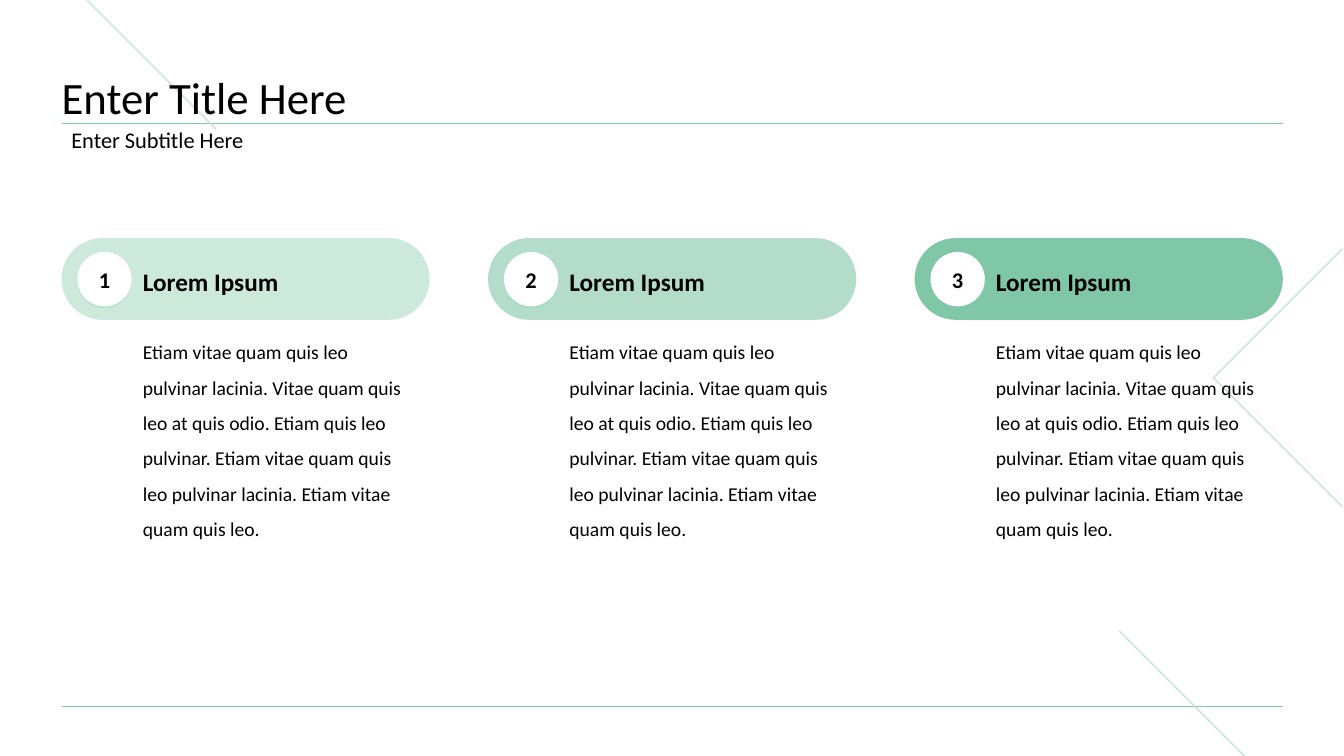
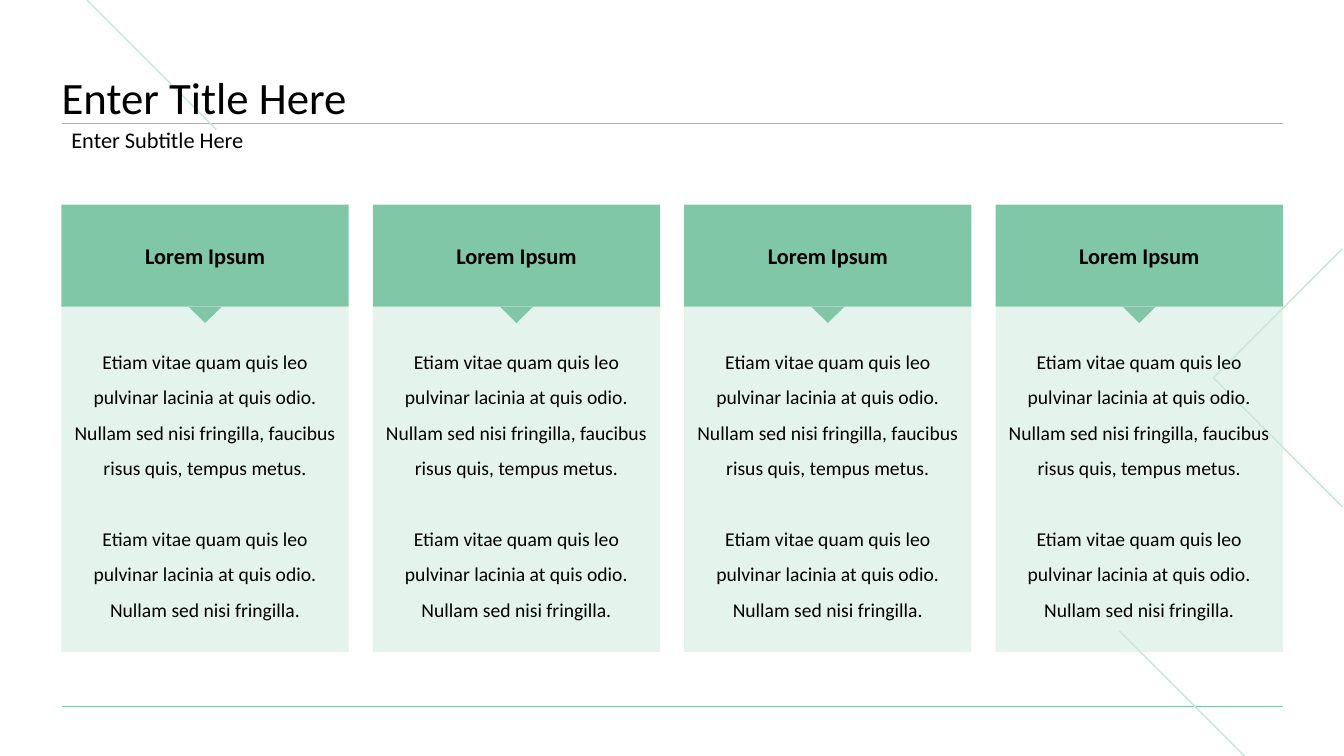
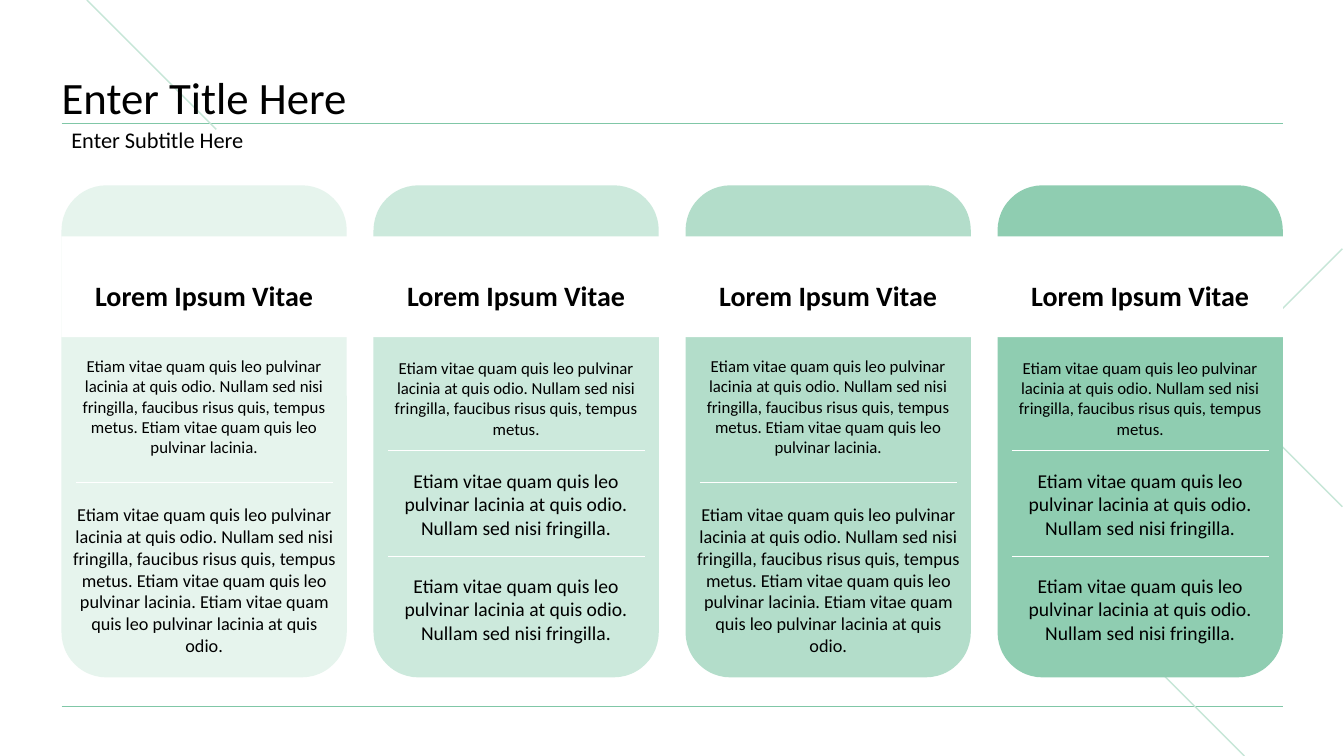
from lxml import etree
from pptx import Presentation
from pptx.dml.color import RGBColor
from pptx.enum.shapes import MSO_CONNECTOR, MSO_SHAPE
from pptx.enum.text import MSO_ANCHOR, MSO_AUTO_SIZE, PP_ALIGN
from pptx.oxml.ns import qn
from pptx.util import Cm, Pt

RECT = MSO_SHAPE.RECTANGLE
ROUNDED = MSO_SHAPE.ROUNDED_RECTANGLE
OVAL = MSO_SHAPE.OVAL
TRIANGLE = MSO_SHAPE.ISOSCELES_TRIANGLE
STRAIGHT = MSO_CONNECTOR.STRAIGHT
TOP, MIDDLE, BOTTOM = MSO_ANCHOR.TOP, MSO_ANCHOR.MIDDLE, MSO_ANCHOR.BOTTOM
LEFT, CENTER = PP_ALIGN.LEFT, PP_ALIGN.CENTER
FIXED = MSO_AUTO_SIZE.NONE

BLACK = RGBColor(0x00, 0x00, 0x00)
WHITE = RGBColor(0xFF, 0xFF, 0xFF)
GREEN = RGBColor(0x80, 0xC7, 0xA7)
FRESH = RGBColor(0x8F, 0xCD, 0xB1)
SAGE = RGBColor(0xB3, 0xDD, 0xCA)
MINT = RGBColor(0xCC, 0xE9, 0xDC)
MIST = RGBColor(0xE6, 0xF4, 0xED)
ACCENT = RGBColor(0xC6, 0xE6, 0xD7)

FONT = "Calibri"
MARGIN = 1.55
CONTENT_W = 30.78
RULE_Y = 3.12
FOOT_Y = 17.8


def write(shape, text, size=14, bold=False, align=LEFT, anchor=MIDDLE,
          spacing=1.0, gap=0, inset=(0.25, 0.13)):
    frame = shape.text_frame
    frame.word_wrap = True
    frame.auto_size = FIXED
    frame.vertical_anchor = anchor
    frame.margin_left = frame.margin_right = Cm(inset[0])
    frame.margin_top = frame.margin_bottom = Cm(inset[1])
    frame.text = text
    for index, paragraph in enumerate(frame.paragraphs):
        paragraph.alignment = align
        paragraph.line_spacing = spacing
        paragraph.space_before = Pt(gap if index else 0)
        font = paragraph.runs[0].font
        font.name, font.size, font.bold = FONT, Pt(size), bold
        font.color.rgb = BLACK


def columns(count, width):
    step = (CONTENT_W - width) / (count - 1)
    return [MARGIN + step * index for index in range(count)]


class Deck:
    def __init__(self):
        self.show = Presentation()
        self.show.slide_width, self.show.slide_height = Cm(33.87), Cm(19.05)
        self.layout = self.show.slide_layouts[5]
        self.canvas = None

    def slide(self, title, subtitle):
        first = len(self.show.slides) == 0
        slide = self.show.slides.add_slide(self.layout)
        self.canvas = slide.shapes
        if first:
            self.furnish_layout()
        heading = slide.shapes.title
        heading.left, heading.top = Cm(MARGIN), Cm(1.12)
        heading.width, heading.height = Cm(CONTENT_W), Cm(2.02)
        write(heading, title, size=32, anchor=BOTTOM, spacing=0.9, inset=(0, 0))
        self.text(MARGIN, RULE_Y, CONTENT_W, 0.86, subtitle, size=16, spacing=0.9)
        return slide

    def furnish_layout(self):
        for placeholder in list(self.layout.placeholders)[1:]:
            placeholder.element.getparent().remove(placeholder.element)
        right = MARGIN + CONTENT_W
        backdrop = [
            self.line(MARGIN, FOOT_Y, right, FOOT_Y, GREEN),
            self.line(MARGIN, RULE_Y, right, RULE_Y, GREEN),
            self.line(28.21, 15.9, 31.36, 19.05, ACCENT, 1),
            self.line(2.19, 0, 5.45, 3.26, ACCENT, 1),
            self.outline([(33.83, 6.27), (30.58, 9.52), (33.83, 12.77)], ACCENT),
        ]
        for part in backdrop:
            self.layout.shapes.element.append(part.element)

    def line(self, x1, y1, x2, y2, color, weight=0.5):
        line = self.canvas.add_connector(STRAIGHT, Cm(x1), Cm(y1), Cm(x2), Cm(y2))
        line.line.color.rgb = color
        line.line.width = Pt(weight)
        etree.SubElement(line.element.spPr, qn("a:effectLst"))
        return line

    def outline(self, points, color):
        corners = [(Cm(x), Cm(y)) for x, y in points]
        builder = self.canvas.build_freeform(*corners[0])
        builder.add_line_segments(corners[1:], close=False)
        outline = builder.convert_to_shape()
        outline.fill.background()
        outline.line.color.rgb = color
        outline.line.width = Pt(1)
        outline.shadow.inherit = False
        return outline

    def shape(self, kind, x, y, w, h, color, alpha=None, corner=None):
        shape = self.canvas.add_shape(kind, Cm(x), Cm(y), Cm(w), Cm(h))
        shape.fill.solid()
        shape.fill.fore_color.rgb = color
        shape.line.fill.background()
        shape.shadow.inherit = False
        if corner is not None:
            shape.adjustments[0] = corner
        if alpha is not None:
            tint = shape.element.spPr.find(qn("a:solidFill"))[0]
            etree.SubElement(tint, qn("a:alpha"), val=str(alpha * 1000))
        return shape

    def text(self, x, y, w, h, text, **style):
        box = self.canvas.add_textbox(Cm(x), Cm(y), Cm(w), Cm(h))
        write(box, text, **style)

    def badge(self, x, y, size, label):
        badge = self.shape(OVAL, x, y, size, size, WHITE)
        write(badge, label, size=16, bold=True, align=CENTER, inset=(0.25, 0.25))
        effects = badge.element.spPr.find(qn("a:effectLst"))
        shadow = etree.SubElement(effects, qn("a:outerShdw"), blurRad="0",
                                  dist=str(Pt(1.5)), dir="5400000",
                                  algn="t", rotWithShape="0")
        tint = etree.SubElement(shadow, qn("a:srgbClr"), val=str(GREEN))
        etree.SubElement(tint, qn("a:alpha"), val="20000")


TITLE, SUBTITLE = "Enter Title Here", "Enter Subtitle Here"
LEAD = "Etiam vitae quam quis leo pulvinar lacinia at quis odio."
SHORT = f"{LEAD} Nullam sed nisi fringilla."
MEDIUM = f"{LEAD} Nullam sed nisi fringilla, faucibus risus quis, tempus metus."
LONG = f"{MEDIUM} Etiam vitae quam quis leo pulvinar lacinia."
LONGEST = f"{LONG} {LEAD}"
STEP_BODY = ("Etiam vitae quam quis leo pulvinar lacinia. Vitae quam quis leo at "
             "quis odio. Etiam quis leo pulvinar. Etiam vitae quam quis leo "
             "pulvinar lacinia. Etiam vitae quam quis leo.")

deck = Deck()


def build_steps():
    deck.slide(TITLE, SUBTITLE)
    pill_w = 9.28
    steps = zip(columns(3, pill_w), (MINT, SAGE, GREEN))
    for number, (x, color) in enumerate(steps, 1):
        deck.shape(ROUNDED, x, 6, pill_w, 2.06, color, corner=0.5)
        deck.text(x + 1.8, 8.15, 7.11, 6.27, STEP_BODY, anchor=TOP, spacing=1.5)
        deck.badge(x + 0.4, 6.35, 1.37, str(number))
        deck.text(x + 1.8, 6.3, 7.11, 1.45, "Lorem Ipsum", size=18, bold=True,
                  spacing=1.15, inset=(0.25, 0.25))


def build_panels():
    slide = deck.slide(TITLE, SUBTITLE)
    panel_w, text_w, pointer_w = 7.24, 6.86, 0.83
    header_y, header_h = 5.16, 2.57
    body_y = header_y + header_h
    for x in columns(4, panel_w):
        deck.canvas = slide.shapes.add_group_shape().shapes
        deck.shape(RECT, x, body_y, panel_w, 8.7, MINT, alpha=50)
        deck.text(x + (panel_w - text_w) / 2, 8.59, text_w, 7, f"{MEDIUM}\n{SHORT}",
                  align=CENTER, spacing=1.5, gap=25.6, inset=(0, 0))
        header = deck.shape(RECT, x, header_y, panel_w, header_h, GREEN)
        write(header, "Lorem Ipsum", size=16, bold=True, align=CENTER)
        pointer = deck.shape(TRIANGLE, x + (panel_w - pointer_w) / 2, body_y,
                             pointer_w, 0.41, GREEN)
        pointer.rotation = 180


def build_cards():
    deck.slide(TITLE, SUBTITLE)
    card_w, divider_inset = 7.19, 0.36
    band_y, band_h = 5.96, 2.54
    two_blocks = ([(8.97, 2.54, 12, LONG), (12.83, 3.56, 13, LONGEST)], [12.16])
    three_blocks = ([(8.97, 2.13, 12, MEDIUM), (11.63, 2.13, 14, SHORT),
                     (14.28, 2.13, 14, SHORT)], [11.35, 14.02])
    lefts = columns(4, card_w)
    for x, color in zip(lefts, (MIST, MINT, SAGE, FRESH)):
        deck.shape(ROUNDED, x, 4.67, card_w, 12.4, color, corner=0.158)
    deck.shape(RECT, MARGIN, band_y, CONTENT_W, band_h, WHITE)
    for x, (blocks, dividers) in zip(lefts, (two_blocks, three_blocks) * 2):
        deck.text(x, band_y, card_w, band_h, "Lorem Ipsum Vitae", size=20,
                  bold=True, align=CENTER, spacing=1.5)
        for y, height, size, words in blocks:
            deck.text(x, y, card_w, height, words, size=size, align=CENTER)
        for y in dividers:
            deck.line(x + divider_inset, y, x + card_w - divider_inset, y, WHITE)


build_steps()
build_panels()
build_cards()
deck.show.save("out.pptx")
